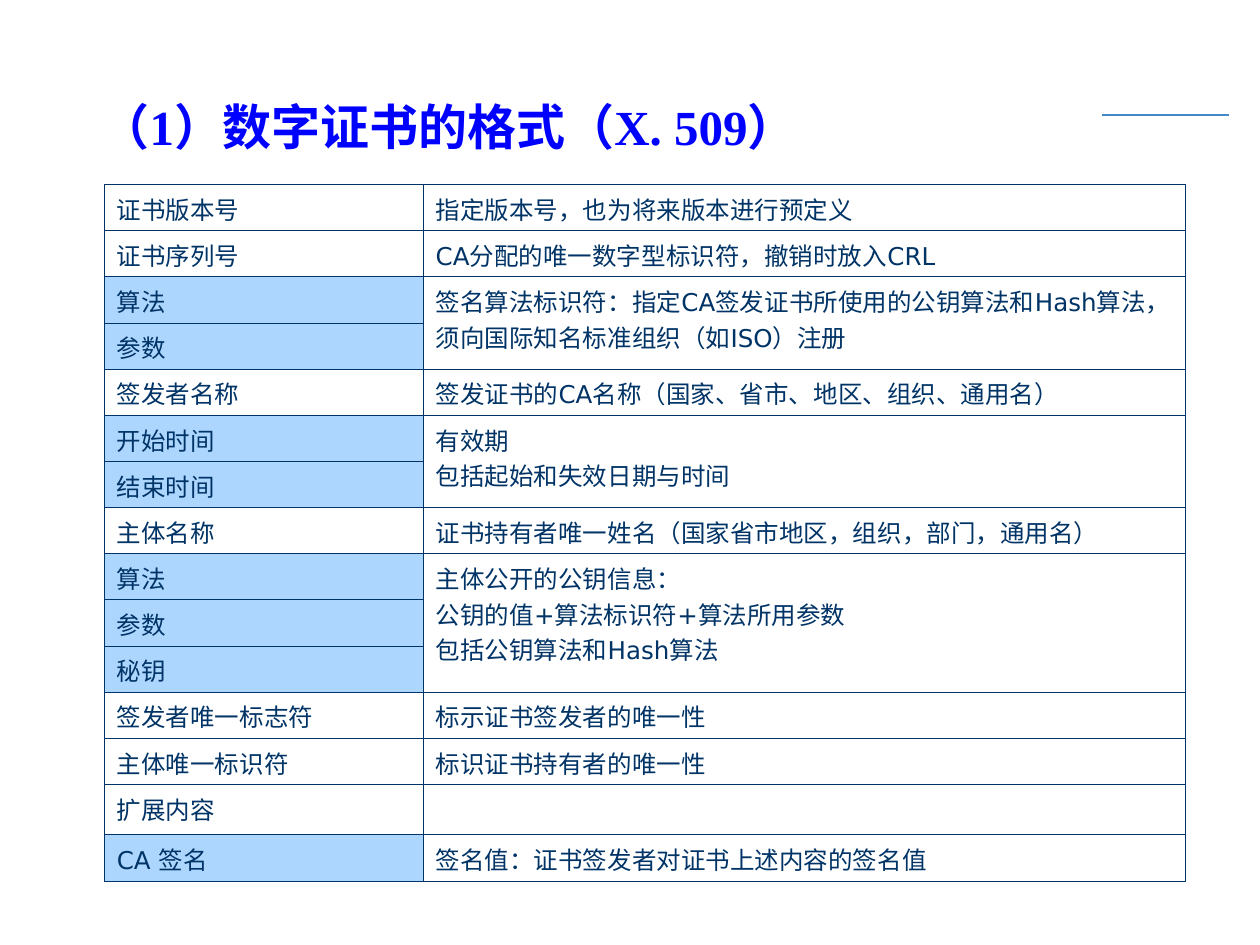
from lxml.etree import SubElement
from pptx import Presentation
from pptx.dml.color import RGBColor
from pptx.enum.shapes import MSO_CONNECTOR
from pptx.enum.text import MSO_AUTO_SIZE
from pptx.oxml import parse_xml
from pptx.oxml.ns import nsdecls, qn
from pptx.util import Cm, Pt

COLORS = {"title": "0000FF", "body": "003366", "rule": "438ACB", "field": "ADD6FF"}

# Field name, highlighted, description (None continues the cell above)
FIELDS = [
    ("证书版本号", False, "指定版本号，也为将来版本进行预定义"),
    ("证书序列号", False, "CA分配的唯一数字型标识符，撤销时放入CRL"),
    ("算法", True, "签名算法标识符：指定CA签发证书所使用的公钥算法和Hash算法，"
                 "须向国际知名标准组织（如ISO）注册"),
    ("参数", True, None),
    ("签发者名称", False, "签发证书的CA名称（国家、省市、地区、组织、通用名）"),
    ("开始时间", True, "有效期\n包括起始和失效日期与时间"),
    ("结束时间", True, None),
    ("主体名称", False, "证书持有者唯一姓名（国家省市地区，组织，部门，通用名）"),
    ("算法", True, "主体公开的公钥信息：\n公钥的值+算法标识符+算法所用参数\n包括公钥算法和Hash算法"),
    ("参数", True, None),
    ("秘钥", True, None),
    ("签发者唯一标志符", False, "标示证书签发者的唯一性"),
    ("主体唯一标识符", False, "标识证书持有者的唯一性"),
    ("扩展内容", False, ""),
    ("CA 签名", True, "签名值：证书签发者对证书上述内容的签名值"),
]


class SlideBuilder:
    title_font, body_font = "Times New Roman", "DejaVu Sans"

    def __init__(self, slide):
        self.slide = slide

    def format_runs(self, text_frame, font, size, color, bold=False):
        for paragraph in text_frame.paragraphs:
            for run in paragraph.runs:
                run.font.name = font
                run.font.size = Pt(size)
                run.font.bold = bold
                run.font.color.rgb = RGBColor.from_string(COLORS[color])

    def rule(self, x1, x2, y):
        rule = self.slide.shapes.add_connector(
            MSO_CONNECTOR.STRAIGHT, Cm(x1), Cm(y), Cm(x2), Cm(y))
        rule.line.color.rgb = RGBColor.from_string(COLORS["rule"])
        rule.line.width = Pt(0.75)
        SubElement(rule.element.spPr, qn("a:effectLst"))

    def title(self, text, left, top, width, height):
        frame = self.slide.shapes.add_textbox(
            Cm(left), Cm(top), Cm(width), Cm(height)).text_frame
        frame.word_wrap = True
        frame.auto_size = MSO_AUTO_SIZE.SHAPE_TO_FIT_TEXT
        frame.text = text
        self.format_runs(frame, self.title_font, 28, "title", bold=True)

    def cell(self, cell, text, highlighted=False):
        cell.text_frame.text = text
        self.format_runs(cell.text_frame, self.body_font, 14, "body")
        if highlighted:
            cell.fill.solid()
            cell.fill.fore_color.rgb = RGBColor.from_string(COLORS["field"])
        else:
            cell.fill.background()
        # Borders stand before the fill in the cell properties
        for position, side in enumerate(("lnL", "lnR", "lnT", "lnB")):
            cell._tc.get_or_add_tcPr().insert(position, parse_xml(
                f'<a:{side} {nsdecls("a")} w="{Pt(0.45)}"><a:solidFill>'
                f'<a:srgbClr val="{COLORS["body"]}"/></a:solidFill></a:{side}>'))

    def field_table(self, fields, left, top, widths, row_height):
        table = self.slide.shapes.add_table(
            len(fields), len(widths), Cm(left), Cm(top),
            Cm(sum(widths)), Cm(row_height * len(fields))).table
        table.first_row = table.horz_banding = False
        for column, width in zip(table.columns, widths):
            column.width = Cm(width)
        for i, (name, highlighted, description) in enumerate(fields):
            table.rows[i].height = Cm(row_height)
            self.cell(table.cell(i, 0), name, highlighted)
            self.cell(table.cell(i, 1), description or "")
        # Join each description with the rows that continue it
        starts = [i for i, field in enumerate(fields) if field[2] is not None]
        for start, following in zip(starts, starts[1:] + [len(fields)]):
            if following - start > 1:
                table.cell(start, 1).merge(table.cell(following - 1, 1))


def main():
    presentation = Presentation()
    presentation.slide_width, presentation.slide_height = Cm(25.4), Cm(19.05)
    builder = SlideBuilder(presentation.slides.add_slide(presentation.slide_layouts[6]))

    # Heading
    builder.rule(22.22, 24.77, 2.32)
    builder.title("（1）数字证书的格式（X. 509）", 1.78, 1.83, 21.41, 1.45)

    # Certificate fields
    builder.field_table(FIELDS, 2.1, 3.72, (6.43, 15.37), 0.93)

    presentation.save("out.pptx")


if __name__ == "__main__":
    main()
